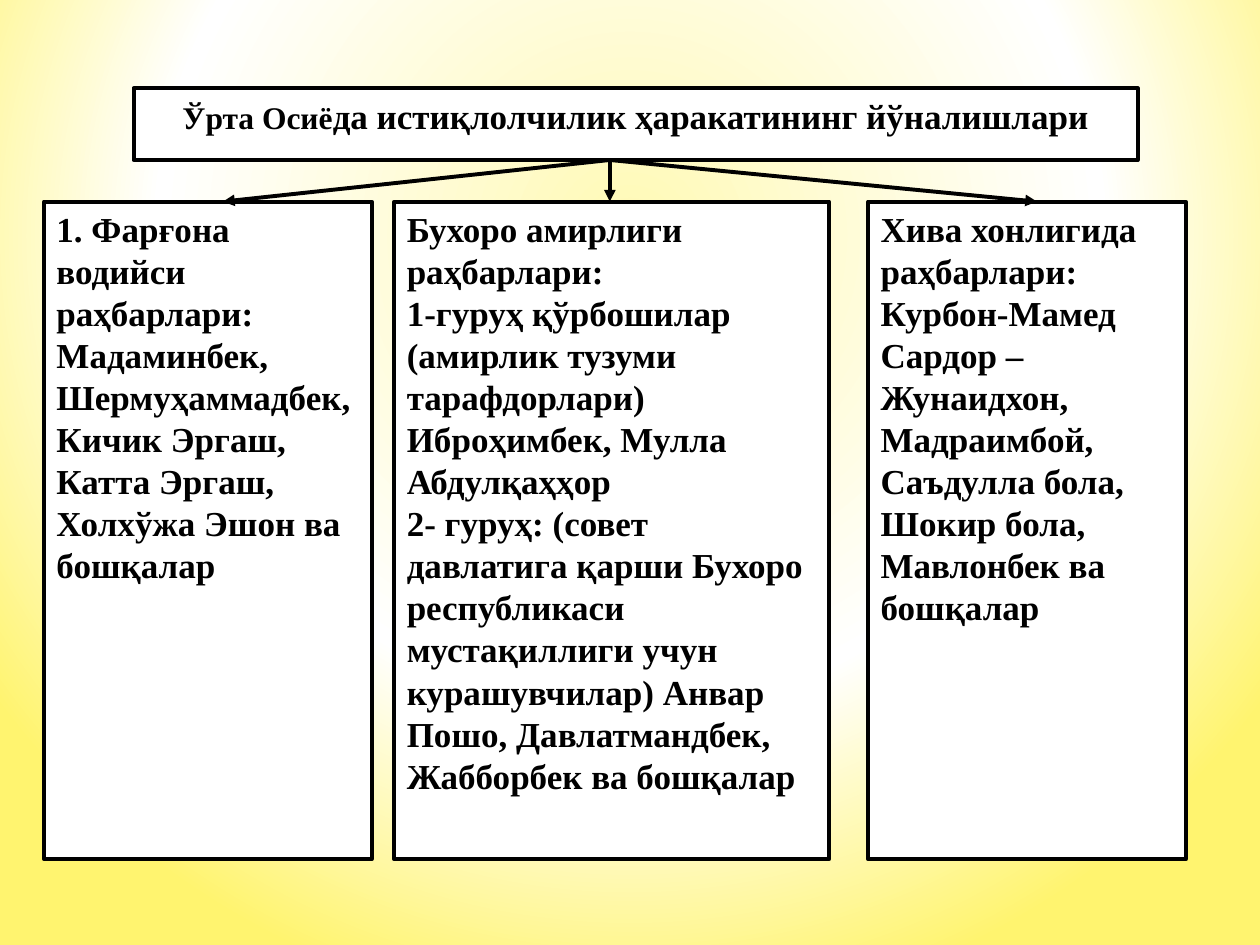
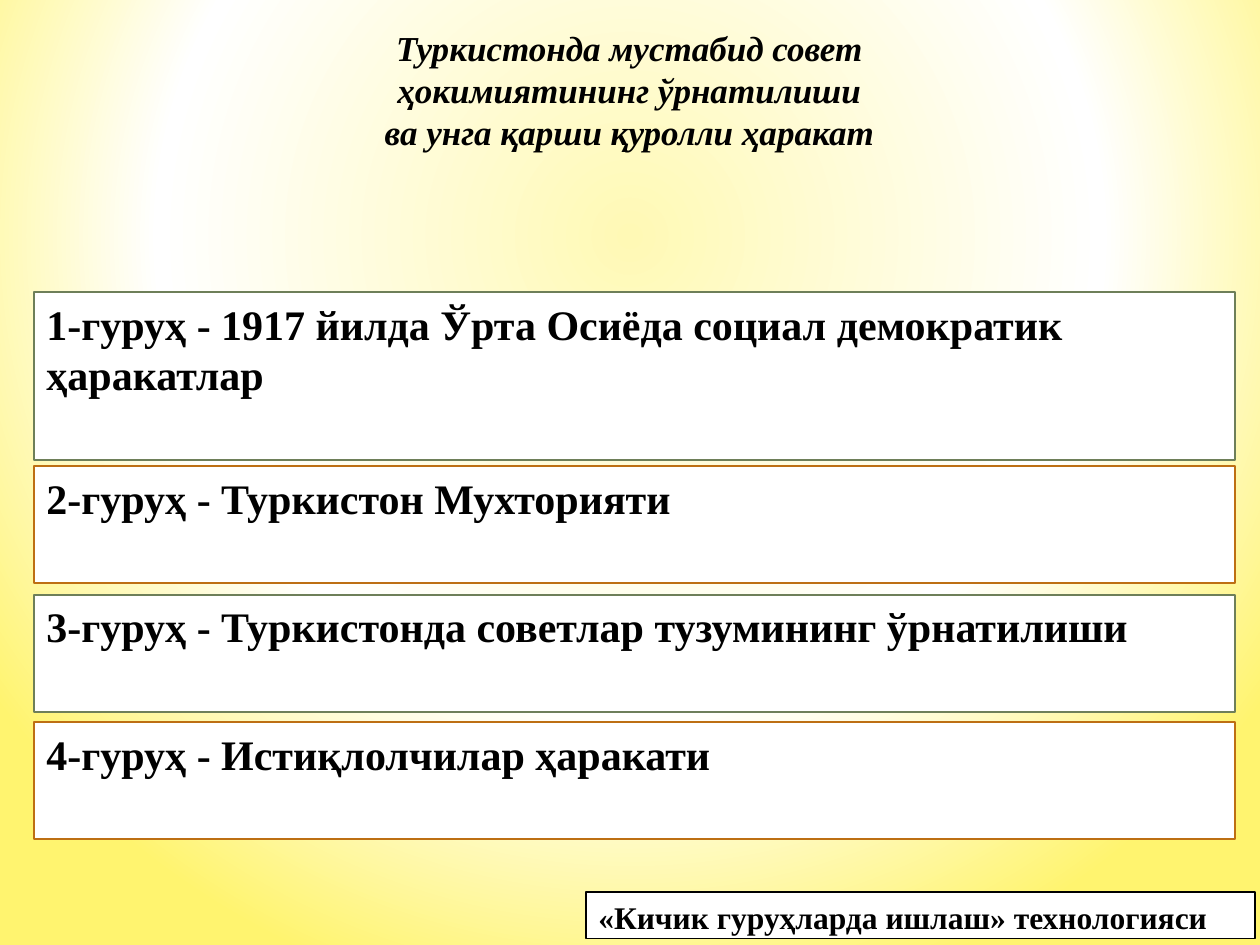
from pptx import Presentation
from pptx.dml.color import RGBColor
from pptx.enum.shapes import MSO_CONNECTOR, MSO_SHAPE
from pptx.enum.text import MSO_ANCHOR, MSO_AUTO_SIZE, PP_ALIGN
from pptx.oxml import parse_xml
from pptx.oxml.ns import nsdecls
from pptx.util import Inches, Pt

RECT = MSO_SHAPE.RECTANGLE
STRAIGHT = MSO_CONNECTOR.STRAIGHT
TOP = MSO_ANCHOR.TOP
FIXED = MSO_AUTO_SIZE.NONE
LEFT, CENTER = PP_ALIGN.LEFT, PP_ALIGN.CENTER

BLACK = RGBColor(0x00, 0x00, 0x00)
WHITE = RGBColor(0xFF, 0xFF, 0xFF)
GREEN = RGBColor(0x6E, 0x7F, 0x59)
BROWN = RGBColor(0xBD, 0x6F, 0x13)
GLOW = [(0, "FFF9B5"), (60, "FFFFFF"), (100, "FFF46F")]
FONT = {"name": "Times New Roman", "bold": True}


def write(shape, at, paras, size, align=LEFT, **extra):
    shape.left, shape.top, shape.width, shape.height = map(Inches, at)
    frame = shape.text_frame
    frame.word_wrap, frame.auto_size, frame.vertical_anchor = True, FIXED, TOP
    frame.text = "\n".join(paras)
    for para in frame.paragraphs:
        para.alignment = align
        for run in para.runs:
            for key, value in {**FONT, "size": Pt(size), **extra}.items():
                setattr(run.font, key, value)
            run.font.color.rgb = BLACK


def frame_box(shape, color, width):
    shape.fill.solid()
    shape.fill.fore_color.rgb = WHITE
    shape.line.color.rgb = color
    shape.line.width = Pt(width)
    shape.shadow.inherit = False


deck = Presentation()
deck.slide_width, deck.slide_height = Inches(10), Inches(7.5)
plain = deck.slide_layouts[5]

master = deck.slide_master
master.background.fill.solid()
solid = master.element.xpath(".//p:bgPr/a:solidFill")[0]
stops = "".join(
    f'<a:gs pos="{pos * 1000}"><a:srgbClr val="{color}"/></a:gs>' for pos, color in GLOW
)
glow = parse_xml(
    f'<a:gradFill {nsdecls("a")} rotWithShape="1"><a:gsLst>{stops}</a:gsLst>'
    '<a:path path="circle"><a:fillToRect l="20000" t="10000" r="20000" b="60000"/>'
    "</a:path></a:gradFill>"
)
solid.getparent().replace(solid, glow)

slide = deck.slides.add_slide(plain)
title = slide.shapes.title
write(title, (1.06, 0.7, 7.97, 0.57), ["Ўрта Осиё"], 18, CENTER)
frame_box(title, BLACK, 2.25)
rest = title.text_frame.paragraphs[0].add_run()
rest.text = "да истиқлолчилик ҳаракатининг йўналишлари"
for key, value in {**FONT, "size": Pt(20)}.items():
    setattr(rest.font, key, value)
rest.font.color.rgb = BLACK

regions = [
    (0.35, 2.6, 1.77, [
        "1. Фарғона водийси раҳбарлари:",
        "Мадаминбек, Шермуҳаммадбек, Кичик Эргаш, Катта Эргаш, "
        "Холхўжа Эшон ва бошқалар",
    ]),
    (3.13, 3.45, 4.84, [
        "Бухоро амирлиги раҳбарлари:",
        "1-гуруҳ қўрбошилар (амирлик тузуми тарафдорлари)",
        "Иброҳимбек, Мулла Абдулқаҳҳор",
        "2- гуруҳ: (совет давлатига қарши Бухоро республикаси мустақиллиги "
        "учун курашувчилар) Анвар Пошо, Давлатмандбек, Жабборбек ва бошқалар",
    ]),
    (6.89, 2.52, 8.23, [
        "Хива хонлигида раҳбарлари:",
        "Курбон-Мамед Сардор – Жунаидхон, Мадраимбой, Саъдулла бола, "
        "Шокир бола, Мавлонбек ва бошқалар",
    ]),
]
for left, width, tip, paras in regions:
    box = slide.shapes.add_shape(RECT, 0, 0, 0, 0)
    write(box, (left, 1.6, width, 5.22), paras, 20)
    frame_box(box, BLACK, 2.25)
    ends = map(Inches, (4.84, 1.27, tip, 1.6))
    arrow = slide.shapes.add_connector(STRAIGHT, *ends)
    arrow.line.color.rgb = BLACK
    arrow.line.width = Pt(2.25)
    arrow.line._get_or_add_ln().append(
        parse_xml(f'<a:tailEnd {nsdecls("a")} type="triangle"/>')
    )
    arrow._element.spPr.append(parse_xml(f'<a:effectLst {nsdecls("a")}/>'))

slide = deck.slides.add_slide(plain)
heading = [
    "Туркистонда мустабид совет",
    "ҳокимиятининг ўрнатилиши",
    "ва унга қарши қуролли ҳаракат",
]
write(slide.shapes.title, (0.35, 0.16, 9.29, 2.02), heading, 20, CENTER, italic=True)

groups = [
    (2.32, 1.33, GREEN, "1-гуруҳ - 1917 йилда Ўрта Осиёда социал демократик ҳаракатлар"),
    (3.7, 0.93, BROWN, "2-гуруҳ - Туркистон Мухторияти"),
    (4.72, 0.93, GREEN, "3-гуруҳ - Туркистонда советлар тузумининг ўрнатилиши"),
    (5.73, 0.93, BROWN, "4-гуруҳ - Истиқлолчилар ҳаракати"),
]
for top, height, color, text in groups:
    bar = slide.shapes.add_shape(RECT, 0, 0, 0, 0)
    write(bar, (0.27, top, 9.53, height), [text], 24)
    frame_box(bar, color, 1.25)

label = slide.shapes.add_shape(RECT, 0, 0, 0, 0)
write(label, (4.65, 7.08, 5.31, 0.37), ["«Кичик гуруҳларда ишлаш» технологияси"], 18)
frame_box(label, BLACK, 0.75)

deck.save("out.pptx")
